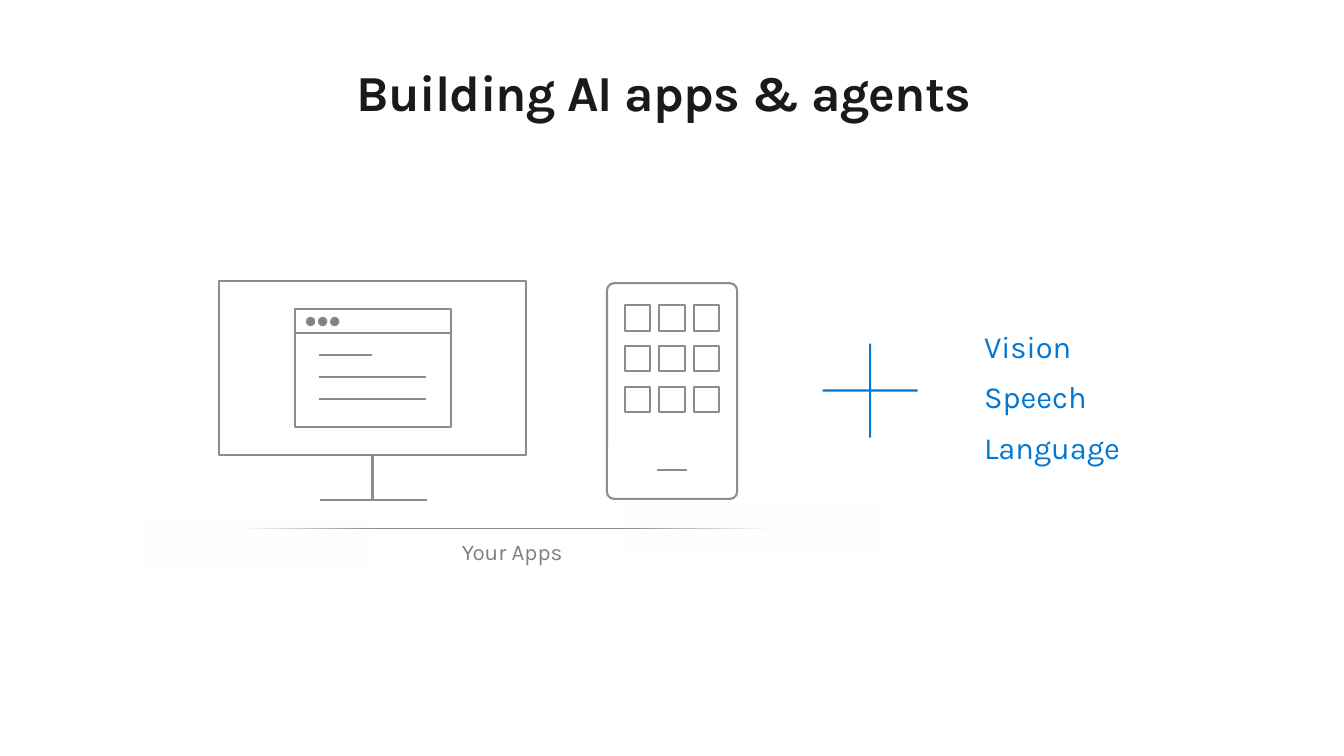
from lxml import etree
from pptx import Presentation
from pptx.dml.color import RGBColor
from pptx.enum.shapes import MSO_CONNECTOR, MSO_SHAPE
from pptx.enum.text import MSO_ANCHOR, PP_ALIGN
from pptx.oxml.ns import qn
from pptx.util import Inches, Pt

RECT, ROUNDED = MSO_SHAPE.RECTANGLE, MSO_SHAPE.ROUNDED_RECTANGLE
OVAL, PLUS = MSO_SHAPE.OVAL, MSO_SHAPE.MATH_PLUS
STRAIGHT = MSO_CONNECTOR.STRAIGHT
TOP, BOTTOM = MSO_ANCHOR.TOP, MSO_ANCHOR.BOTTOM
LEFT, CENTER = PP_ALIGN.LEFT, PP_ALIGN.CENTER

# Content
TITLE = "Building AI apps & agents"
SERVICES = ["Vision", "Speech", "Language"]
CAPTION = "Your Apps"
FONT = "Karla"
INK, BLUE, GRAY, OUTLINE, WHITE = "1A1A1A", "0078D4", "808080", "8C8C8C", "FFFFFF"

# Places in inches: left, top, width, height
TITLE_BOX = (0.56, 0.61, 12.05, 0.61)
SERVICES_BOX = (9.56, 2.97, 2.28, 1.81)
CAPTION_BOX = (4.38, 5.25, 2.28, 0.36)
PLUS_SIGN = (7.99, 3.24, 1.28, 1.27)
MONITOR = (2.17, 2.79, 3.05, 1.72)
STAND_FOOT = (3.17, 4.24, 4.96)  # from x, to x, y
WINDOW = (2.93, 3.07, 1.54, 1.17)
WINDOW_BAR_Y = 3.3
DOT_LEFT, DOT_TOP, DOT_SIZE, DOT_STEP = 3.04, 3.15, 0.08, 0.12
TEXT_LEFT, TEXT_TOP, TEXT_STEP = 3.16, 3.52, 0.22
TEXT_LENGTHS = [0.53, 1.07, 1.07]
PHONE = (6.02, 2.81, 1.29, 2.14)
PHONE_RADIUS = 0.07
HOME_BAR = (6.52, 6.81, 4.66)
ICON_LEFT, ICON_TOP, ICON_SIZE = 6.2, 3.03, 0.25
ICON_STEP_X, ICON_STEP_Y = 0.34, 0.405
GROUND_LINE = (1.96, 7.7, 5.24)
FADES = [((1.38, 5.13, 2.31, 0.5), 0), ((6.2, 5, 2.53, 0.5), 180)]

deck = Presentation()
deck.slide_width, deck.slide_height = Inches(13.33), Inches(7.5)
page = deck.slides.add_slide(deck.slide_layouts[6])


def color(value):
    return RGBColor.from_string(value)


def add_shape(kind, place, fill=None, line=None, weight=1.5):
    shape = page.shapes.add_shape(kind, *map(Inches, place))
    shape.shadow.inherit = False
    if fill:
        shape.fill.solid()
        shape.fill.fore_color.rgb = color(fill)
    else:
        shape.fill.background()
    if line:
        shape.line.color.rgb = color(line)
        shape.line.width = Pt(weight)
    else:
        shape.line.fill.background()
    return shape


def add_line(x1, y1, x2, y2, weight=1.5):
    line = page.shapes.add_connector(STRAIGHT, *map(Inches, (x1, y1, x2, y2)))
    line.line.color.rgb = color(OUTLINE)
    line.line.width = Pt(weight)
    etree.SubElement(line._element.spPr, qn("a:effectLst"))
    return line


def add_level_line(x1, x2, y, weight=1.5):
    return add_line(x1, y, x2, y, weight)


def add_text(place, lines, size, ink, inset=(0.2, 0.16), anchor=TOP,
             align=LEFT, spacing=0.9, bold=False, tracking=0):
    frame = page.shapes.add_textbox(*map(Inches, place)).text_frame
    frame.word_wrap = True
    frame.vertical_anchor = anchor
    frame.margin_left = frame.margin_right = Inches(inset[0])
    frame.margin_top = frame.margin_bottom = Inches(inset[1])
    frame.text = "\n".join(lines)
    for index, para in enumerate(frame.paragraphs):
        para.alignment = align
        para.line_spacing = spacing
        if index:
            para.space_before = Pt(12)
        for span in para.runs:
            span.font.name, span.font.size, span.font.bold = FONT, Pt(size), bold
            span.font.color.rgb = color(ink)
            if tracking:
                span._r.get_or_add_rPr().set("spc", str(int(tracking * 100)))


# Services and plus sign
add_text(SERVICES_BOX, SERVICES, 22, BLUE, anchor=BOTTOM)
add_shape(PLUS, PLUS_SIGN, fill=BLUE).adjustments[0] = 0.017

# Monitor on its stand
monitor = add_shape(RECT, MONITOR, line=OUTLINE)
middle = MONITOR[0] + MONITOR[2] / 2
stand = add_line(middle, MONITOR[1] + MONITOR[3], middle, STAND_FOOT[2])
stand.begin_connect(monitor, 2)
add_level_line(*STAND_FOOT)

# Window on the monitor
add_shape(RECT, WINDOW, line=OUTLINE)
add_level_line(WINDOW[0], WINDOW[0] + WINDOW[2], WINDOW_BAR_Y)
for index in range(3):
    dot = (DOT_LEFT + index * DOT_STEP, DOT_TOP, DOT_SIZE, DOT_SIZE)
    add_shape(OVAL, dot, fill=GRAY, line=OUTLINE, weight=1)
for index, length in enumerate(TEXT_LENGTHS):
    add_level_line(TEXT_LEFT, TEXT_LEFT + length, TEXT_TOP + index * TEXT_STEP)

# Phone with its grid of icons
phone = add_shape(ROUNDED, PHONE, line=OUTLINE)
phone.adjustments[0] = PHONE_RADIUS / PHONE[2]
add_level_line(*HOME_BAR)
for row in range(3):
    for column in range(3):
        add_shape(RECT, (ICON_LEFT + column * ICON_STEP_X,
                         ICON_TOP + row * ICON_STEP_Y,
                         ICON_SIZE, ICON_SIZE), line=OUTLINE)

# Ground line, faded out at both ends
add_level_line(*GROUND_LINE, weight=0.5)
for place, turn in FADES:
    fade = add_shape(RECT, place)
    fade.rotation = turn
    fade.fill.gradient()
    fade.fill.gradient_angle = 0
    for stop, position in zip(fade.fill.gradient_stops, (0.43, 1)):
        stop.position = position
        stop.color.rgb = color(WHITE)
    clear = fade._element.spPr.findall(".//" + qn("a:srgbClr"))[-1]
    etree.SubElement(clear, qn("a:alpha")).set("val", "0")

# Caption and title
add_text(CAPTION_BOX, [CAPTION], 16, GRAY)
add_text(TITLE_BOX, [TITLE], 36, INK, inset=(0, 0), align=CENTER,
         spacing=1.0, bold=True, tracking=-0.5)

deck.save("out.pptx")
